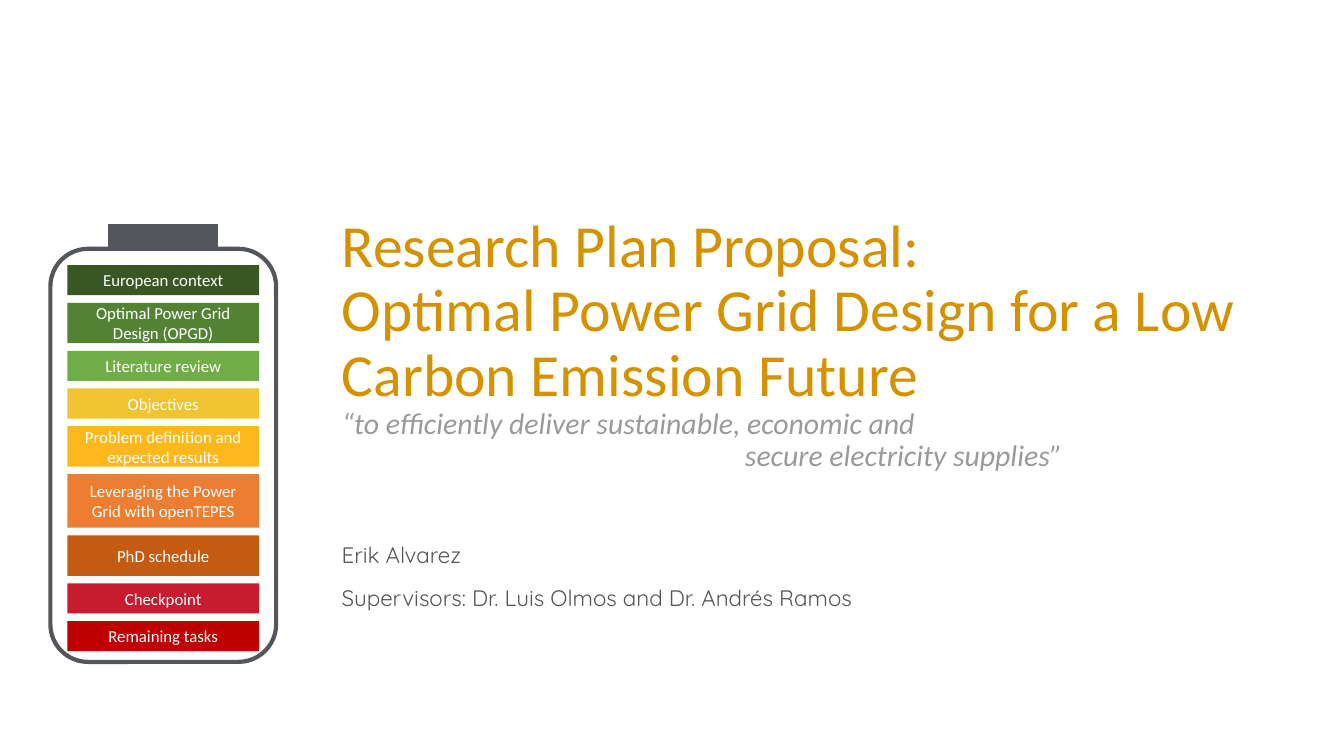
from pptx import Presentation
from pptx.dml.color import RGBColor
from pptx.enum.shapes import MSO_SHAPE
from pptx.enum.text import MSO_ANCHOR, MSO_AUTO_SIZE, PP_ALIGN
from pptx.util import Cm, Pt

RECTANGLE = MSO_SHAPE.RECTANGLE
ROUNDED = MSO_SHAPE.ROUNDED_RECTANGLE
TOP, MIDDLE = MSO_ANCHOR.TOP, MSO_ANCHOR.MIDDLE
LEFT, CENTER = PP_ALIGN.LEFT, PP_ALIGN.CENTER
NO_AUTOFIT = MSO_AUTO_SIZE.NONE

GRAY = "53565A"
BAR_GAP = 0.19
TOPICS = [
    ("European context", "385723", 0.76),
    ("Optimal Power Grid Design (OPGD)", "548235", 1.02),
    ("Literature review", "70AD47", 0.76),
    ("Objectives", "F0C430", 0.76),
    ("Problem definition and expected results", "FFB81C", 1.02),
    ("Leveraging the Power Grid with openTEPES", "ED7D31", 1.35),
    ("PhD schedule", "C55A11", 1.02),
    ("Checkpoint", "C71B30", 0.76),
    ("Remaining tasks", "C00000", 0.76),
]


def color(value):
    return RGBColor.from_string(value)


class SlideBuilder:
    heading = {"name": "Calibri", "size": Pt(42.7)}
    quote = {"name": "Calibri", "size": Pt(21.3), "italic": True}
    body = {"name": "Quicksand", "size": Pt(16)}
    label = {"name": "Calibri", "size": Pt(12)}

    def __init__(self, presentation):
        self.slide = presentation.slides.add_slide(presentation.slide_layouts[5])
        self.battery = self.slide.shapes.add_group_shape()

    def fill_text(self, shape, lines, anchor=TOP, **paragraph_format):
        frame = shape.text_frame
        for name, value in {"word_wrap": True, "auto_size": NO_AUTOFIT,
                            "vertical_anchor": anchor}.items():
            setattr(frame, name, value)
        for index, (text, style, text_color) in enumerate(lines):
            paragraph = frame.add_paragraph() if index else frame.paragraphs[0]
            for name, value in paragraph_format.items():
                setattr(paragraph, name, value)
            run = paragraph.add_run()
            run.text = text
            for name, value in style.items():
                setattr(run.font, name, value)
            run.font.color.rgb = color(text_color)
        return frame.paragraphs

    def title(self, box, lines):
        shape = self.slide.shapes.title
        shape.left, shape.top, shape.width, shape.height = map(Cm, box)
        return self.fill_text(shape, lines, alignment=LEFT, line_spacing=0.9)

    def text(self, box, lines):
        shape = self.slide.shapes.add_textbox(*map(Cm, box))
        self.fill_text(shape, lines, line_spacing=0.9, space_after=Pt(13.3))

    def block(self, kind, box, fill=None, line=None, width=1):
        shape = self.battery.shapes.add_shape(kind, *map(Cm, box))
        shape.shadow.inherit = False
        if fill:
            shape.fill.solid()
            shape.fill.fore_color.rgb = color(fill)
        else:
            shape.fill.background()
        if line:
            shape.line.color.rgb = color(line)
            shape.line.width = Pt(width)
        else:
            shape.line.fill.background()
        return shape

    def bar(self, box, text, fill):
        shape = self.block(RECTANGLE, box, fill)
        self.fill_text(shape, [(text, self.label, "FFFFFF")], MIDDLE, alignment=CENTER)


def main():
    presentation = Presentation()
    presentation.slide_width = Cm(33.87)
    presentation.slide_height = Cm(19.05)
    builder = SlideBuilder(presentation)

    paragraphs = builder.title((8.36, 5.3, 24.51, 6.75), [
        ("Research Plan Proposal:", builder.heading, "D49200"),
        ("Optimal Power Grid Design for a Low Carbon Emission Future",
         builder.heading, "D49200"),
        ("“to efficiently deliver sustainable, economic and", builder.quote, "999A9B"),
        ("secure electricity supplies”", builder.quote, "999A9B"),
    ])
    paragraphs[-1]._p.get_or_add_pPr().set("marL", str(Cm(10.16)))

    builder.text((8.36, 13.59, 21.97, 2.18), [
        ("Erik Alvarez", builder.body, GRAY),
        ("Supervisors: Dr. Luis Olmos and Dr. Andrés Ramos", builder.body, GRAY),
    ])

    builder.block(ROUNDED, (1.27, 6.27, 5.69, 10.41), line=GRAY, width=3)
    builder.block(RECTANGLE, (2.74, 5.66, 2.74, 0.61), fill=GRAY, line=GRAY)
    top = 6.68
    for text, fill, height in TOPICS:
        builder.bar((1.7, top, 4.83, height), text, fill)
        top += height + BAR_GAP

    presentation.save("out.pptx")


if __name__ == "__main__":
    main()
